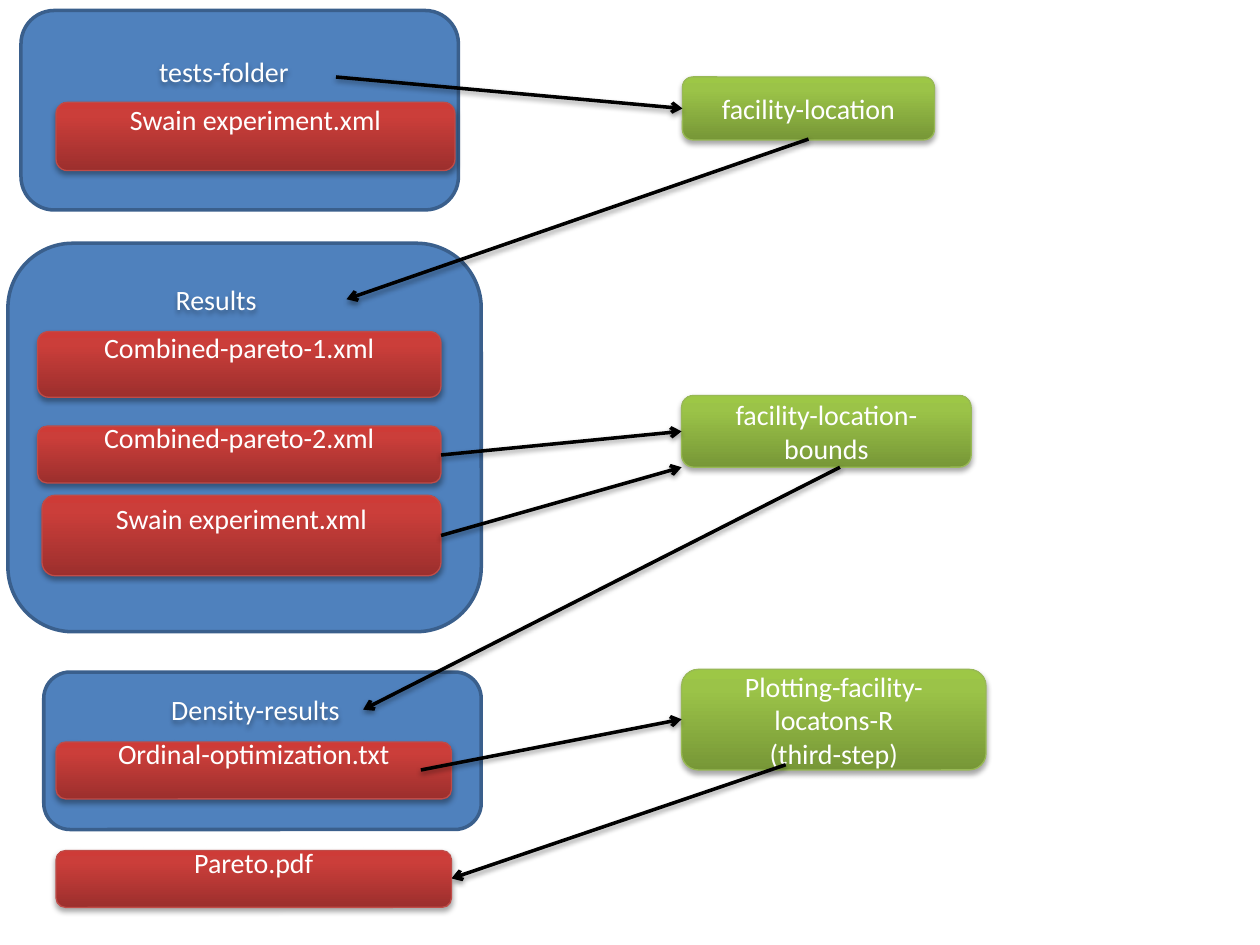
from lxml import etree
from pptx import Presentation
from pptx.dml.color import RGBColor
from pptx.enum.shapes import MSO_CONNECTOR, MSO_SHAPE
from pptx.enum.text import MSO_ANCHOR, PP_ALIGN
from pptx.oxml.ns import qn
from pptx.util import Pt

ROUND = MSO_SHAPE.ROUNDED_RECTANGLE
LINE = MSO_CONNECTOR.STRAIGHT
MID = MSO_ANCHOR.MIDDLE
CENTER = PP_ALIGN.CENTER

FONT = {"name": "Calibri", "size": Pt(16)}
ROW = 19.5  # height of one text line
RED = {"line": "BF4C48",
       "stops": [(0, "9C2F2D"), (80, "CB3E3A"), (100, "CE3B37")]}
GREEN = {"line": "98B955",
         "stops": [(0, "779737"), (80, "9BC348"), (100, "9DC746")]}


def color(code):
    return RGBColor.from_string(code)


def node(top, tag, **attrs):
    item = etree.SubElement(top, qn(tag))
    for key, value in attrs.items():
        item.set(key, str(value))
    return item


def shade(shape, dist=1.8, alpha=35):
    """Soft shadow straight below the shape."""
    props = shape._element.spPr
    for old in props.findall(qn("a:effectLst")):
        props.remove(old)
    drop = node(node(props, "a:effectLst"), "a:outerShdw",
                blurRad=Pt(3.1), dist=Pt(dist), dir=90 * 60000,
                algn="ctr", rotWithShape=0)
    tone = node(drop, "a:srgbClr", val="000000")
    node(tone, "a:alpha", val=alpha * 1000)


def blend(shape, stops):
    """Upward gradient with any number of stops."""
    shape.fill.gradient()
    grad = shape._element.spPr.find(qn("a:gradFill"))
    for child in list(grad):
        grad.remove(child)
    items = node(grad, "a:gsLst")
    for pos, code in stops:
        stop = node(items, "a:gs", pos=pos * 1000)
        node(stop, "a:srgbClr", val=code)
    node(grad, "a:lin", ang=270 * 60000, scaled=0)


def write(shape, lines, lift=0):
    frame = shape.text_frame
    look = {"word_wrap": True, "vertical_anchor": MID,
            "margin_bottom": Pt(3.6 + lift)}
    for key, value in look.items():
        setattr(frame, key, value)
    frame.text = "\n".join(lines)
    for para in frame.paragraphs:
        para.alignment = CENTER
        font = para.runs[0].font
        for key, value in FONT.items():
            setattr(font, key, value)
        font.color.rgb = color("FFFFFF")


def panel(slide, box, edge, width):
    shape = slide.shapes.add_shape(ROUND, *map(Pt, box))
    shape.shadow.inherit = False
    shape.line.color.rgb = color(edge)
    shape.line.width = Pt(width)
    return shape


def button(slide, box, style, lines, lift=0):
    shape = panel(slide, box, style["line"], 0.75)
    blend(shape, style["stops"])
    shade(shape)
    write(shape, lines, lift)


def file(slide, box, name):
    # The name sits one half line above the middle
    button(slide, box, RED, [name], ROW)


def folder(slide, box, title, spot, files):
    """Blue folder; the title spot and file boxes count from its corner."""
    left, top = box[:2]
    shape = panel(slide, box, "3A5F8C", 2)
    shape.fill.solid()
    shape.fill.fore_color.rgb = color("4F81BD")

    label = slide.shapes.add_textbox(
        Pt(left + spot[0]), Pt(top + spot[1]), Pt(168), Pt(42))
    shade(label)
    write(label, [title])

    for name, (x, y, wide, high) in files:
        file(slide, (left + x, top + y, wide, high), name)


def arrow(slide, start, end):
    link = slide.shapes.add_connector(LINE, *map(Pt, start + end))
    link.line.color.rgb = color("000000")
    link.line.width = Pt(2)
    node(link.line._get_or_add_ln(), "a:tailEnd", type="arrow")
    shade(link, 1.6, 38)


def main():
    deck = Presentation()
    deck.slide_width, deck.slide_height = Pt(720), Pt(540)
    slide = deck.slides.add_slide(deck.slide_layouts[6])

    # Folders and files
    folder(slide, (12, 6, 250, 114), "tests-folder", (32, 13.5),
           [("Swain experiment.xml", (20, 52.5, 228, 39))])
    folder(slide, (4.5, 139, 270.5, 222), "Results", (35, 11),
           [("Combined-pareto-1.xml", (17, 50.5, 230.5, 37.5)),
            ("Combined-pareto-2.xml", (17, 104.5, 230.5, 32.5)),
            ("Swain experiment.xml", (19.5, 144, 228, 46))])
    folder(slide, (25, 384, 250, 90), "Density-results", (37, 0.5),
           [("Ordinal-optimization.txt", (7, 40, 226, 32.5))])

    # Programs
    for box, lines in [
        ((390, 44, 144, 36), ["facility-location"]),
        ((389.5, 226, 165.5, 41), ["facility-location-bounds"]),
        ((389.5, 382.5, 174, 57.5),
         ["Plotting-facility-locatons-R", "(third-step)"]),
    ]:
        button(slide, box, GREEN, lines)

    # Flow from files to programs and back
    for start, end in [
        ((192, 44), (390, 62)),
        ((462, 79.5), (198, 171)),
        ((252, 260), (389.5, 246.5)),
        ((252, 306), (389.5, 267)),
        ((480, 267), (207.5, 405.5)),
        ((240.5, 440), (389.5, 411)),
        ((449, 437), (258, 502)),
    ]:
        arrow(slide, start, end)

    # Final output
    file(slide, (32, 486, 226, 32.5), "Pareto.pdf")
    deck.save("out.pptx")


if __name__ == "__main__":
    main()
